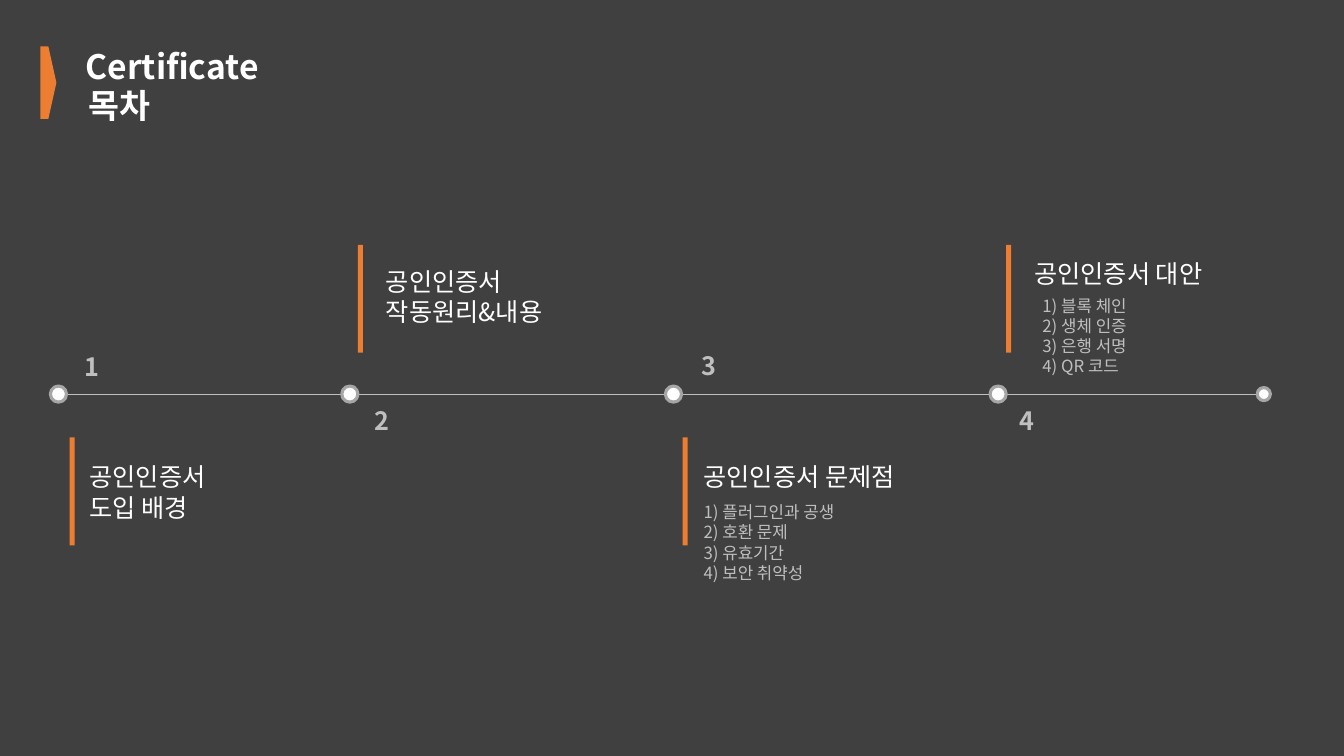
from pptx import Presentation
from pptx import util as u
from pptx.dml import color
from pptx.enum import shapes, text
from pptx.oxml import ns
from lxml import etree

FONT = "Noto Sans CJK KR"
DARK, WHITE, ORANGE = "404040", "FFFFFF", "ED7D31"
LIGHT_GRAY, RING_GRAY = "BFBFBF", "A6A6A6"
AXIS_Y = 3.91


def rgb(value):
    return color.RGBColor.from_string(value)


def write(shape, content, size=18, fill=WHITE, bold=False, center=False, wrap=False):
    """Fill a shape with one paragraph per line of content."""
    frame = shape.text_frame
    frame.word_wrap = wrap
    frame.auto_size = text.MSO_AUTO_SIZE.SHAPE_TO_FIT_TEXT
    frame.vertical_anchor = text.MSO_ANCHOR.TOP
    for index, line in enumerate(content.split("\n")):
        paragraph = frame.paragraphs[0] if index == 0 else frame.add_paragraph()
        paragraph.alignment = text.PP_ALIGN.CENTER if center else text.PP_ALIGN.LEFT
        paragraph.line_spacing = 1.0
        paragraph.space_before = u.Pt(0)
        run = paragraph.add_run()
        run.text = line
        run.font.size = u.Pt(size)
        run.font.bold = bold
        run.font.color.rgb = rgb(fill)
        run.font.name = FONT
        # Hangul takes the East Asian typeface
        latin = run.font._element.find(ns.qn("a:latin"))
        east_asian = etree.Element(ns.qn("a:ea"), typeface=FONT)
        latin.addnext(east_asian)


class TimelineSlide:
    def __init__(self, presentation):
        self.slide = presentation.slides.add_slide(presentation.slide_layouts[5])
        background = self.slide.background.fill
        background.solid()
        background.fore_color.rgb = rgb(DARK)

    def title(self, content, left, top, width, height, **style):
        shape = self.slide.shapes.title
        shape.left, shape.top = u.Inches(left), u.Inches(top)
        shape.width, shape.height = u.Inches(width), u.Inches(height)
        write(shape, content, **style)

    def label(self, content, left, top, width, height, **style):
        box = [u.Inches(value) for value in (left, top, width, height)]
        write(self.slide.shapes.add_textbox(*box), content, **style)

    def block(self, kind, left, top, width, height, fill=ORANGE, line=None):
        box = [u.Inches(value) for value in (left, top, width, height)]
        shape = self.slide.shapes.add_shape(kind, *box)
        shape.shadow.inherit = False
        shape.fill.solid()
        shape.fill.fore_color.rgb = rgb(fill)
        if line:
            shape.line.color.rgb = rgb(line)
            shape.line.width = u.Pt(2.25)
        else:
            shape.line.fill.background()

    def dot(self, left, size=0.16):
        self.block(shapes.MSO_SHAPE.OVAL, left, AXIS_Y - size / 2, size, size,
                   fill=WHITE, line=RING_GRAY)

    def axis(self, start, end):
        line = self.slide.shapes.add_connector(
            shapes.MSO_CONNECTOR.STRAIGHT, u.Inches(start), u.Inches(AXIS_Y),
            u.Inches(end), u.Inches(AXIS_Y))
        line.line.color.rgb = rgb(LIGHT_GRAY)
        line.line.width = u.Pt(0.5)
        etree.SubElement(line._element.spPr, ns.qn("a:effectLst"))


# Sections: dot left, bar left, bar top, number box, heading box, heading
SECTIONS = [
    (0.5, 0.69, 4.34, (0.66, 3.44), (0.79, 4.53, 1.46, 0.71), "공인인증서\n도입 배경"),
    (3.39, 3.55, 2.43, (3.53, 3.97), (3.73, 2.59, 1.92, 0.71), "공인인증서\n작동원리&내용"),
    (6.6, 6.77, 4.34, (6.78, 3.43), (6.88, 4.53, 2.31, 0.4), "공인인증서 문제점"),
    (9.82, 9.98, 2.43, (9.93, 3.97), (10.16, 2.51, 2.06, 0.4), "공인인증서 대안"),
]


def main():
    presentation = Presentation()
    presentation.slide_width = u.Inches(13.33)
    presentation.slide_height = u.Inches(7.5)
    page = TimelineSlide(presentation)

    # Heading
    page.block(shapes.MSO_SHAPE.PENTAGON, 0.4, 0.46, 0.16, 0.72)
    page.title("Certificate", 0.75, 0.41, 1.93, 0.5, size=24, bold=True)
    page.label("목차", 0.78, 0.79, 0.88, 0.5, size=24, bold=True)

    # Timeline with its sections
    page.axis(0.5, 12.61)
    for number, section in enumerate(SECTIONS, 1):
        dot_left, bar_left, bar_top, number_at, heading_box, heading = section
        page.dot(dot_left)
        page.block(shapes.MSO_SHAPE.RECTANGLE, bar_left, bar_top, 0.05, 1.07)
        page.label(str(number), *number_at, 0.51, 0.4, fill=LIGHT_GRAY,
                   bold=True, center=True, wrap=True)
        page.label(heading, *heading_box)
    page.dot(12.47, size=0.13)

    # Details
    page.label("1) 플러그인과 공생\n2) 호환 문제\n3) 유효기간\n4) 보안 취약성",
               6.88, 4.93, 1.58, 0.91, size=12, fill=LIGHT_GRAY)
    page.label("1) 블록 체인\n2) 생체 인증\n3) 은행 서명\n4) QR 코드",
               10.24, 2.88, 1.16, 1.08, size=12, fill=LIGHT_GRAY, wrap=True)

    presentation.save("out.pptx")


if __name__ == "__main__":
    main()
